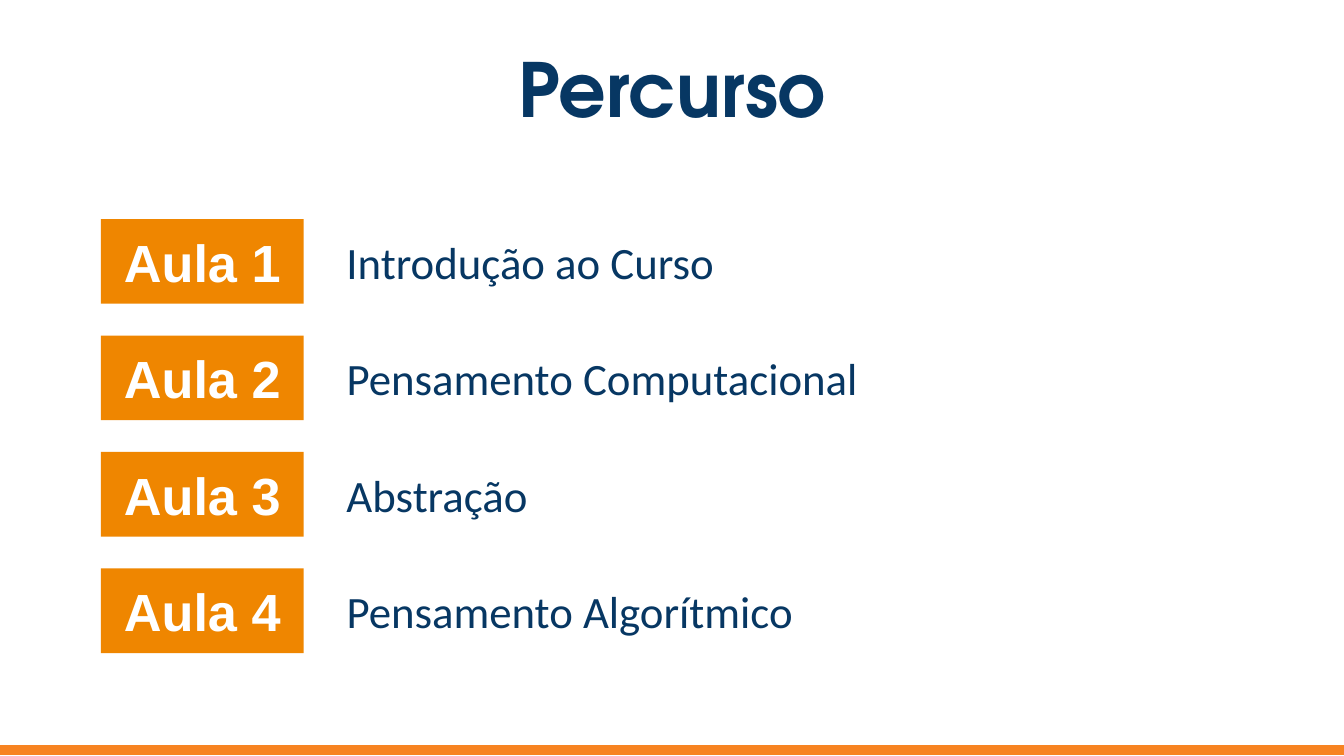
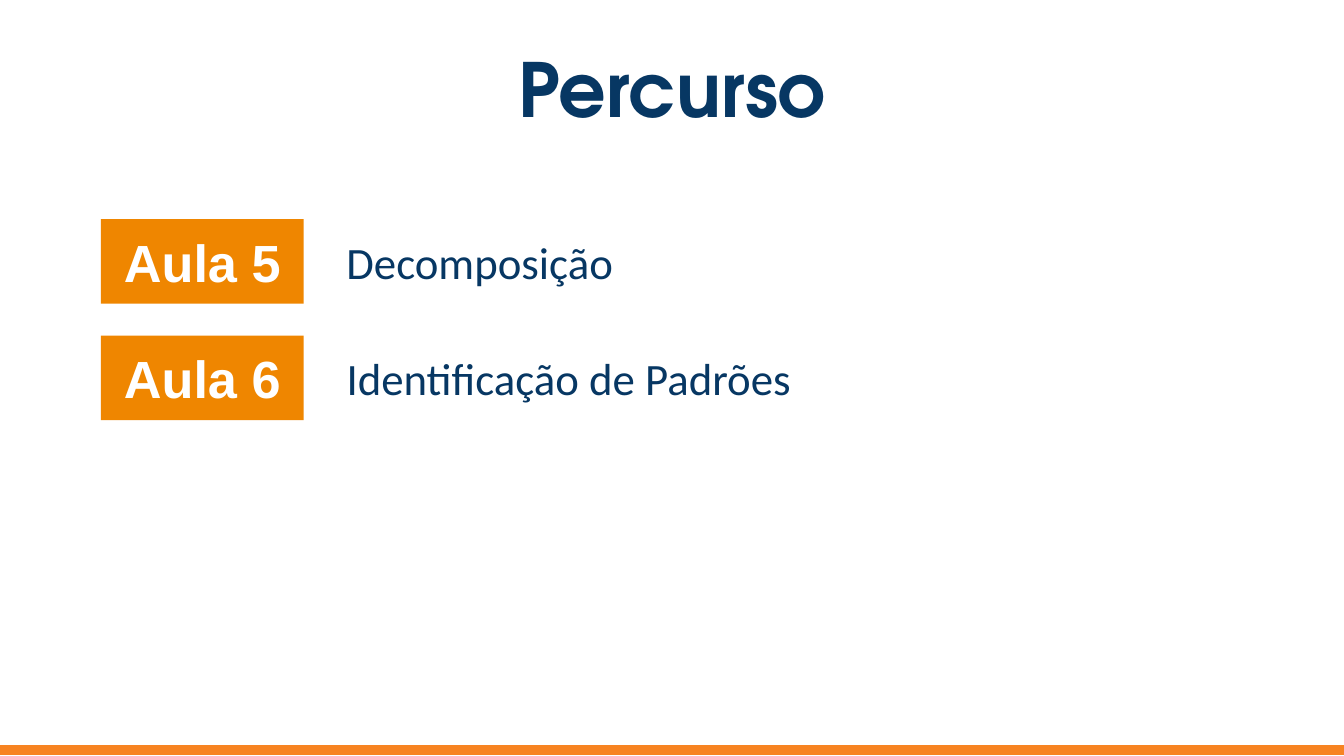
"""Build the two course outline slides."""
from pptx import Presentation
from pptx import util as u
from pptx.dml.color import RGBColor
from pptx.enum import shapes, text

WIDTH = 10
HEIGHT = WIDTH * 9 / 16
COLORS = {"navy": "073763", "badge": "EF8600", "band": "F78321", "white": "FFFFFF"}
FONTS = {"title": "TeX Gyre Adventor", "badge": "Arial", "topic": "Calibri"}
BADGE = {"left": 0.75, "width": 1.51, "height": 0.63}
TOPIC = {"left": 2.48, "height": 0.5}
LESSONS_PER_SLIDE = 4
FIRST_ROW, LAST_ROW = 1.63, 4.23
ROW_STEP = (LAST_ROW - FIRST_ROW) / (LESSONS_PER_SLIDE - 1)
BAND_TOP, BAND_HEIGHT = 5.55, 0.06
LESSONS = [
    ("Introdução ao Curso", 3.06),
    ("Pensamento Computacional", 4.01),
    ("Abstração", 2.74),
    ("Pensamento Algorítmico", 3.98),
    ("Decomposição", 3.06),
    ("Identificação de Padrões", 4.01),
]


def color(name):
    """Return a named colour of the palette."""
    return RGBColor.from_string(COLORS[name])


def inches(*lengths):
    """Convert several lengths to inches."""
    return [u.Inches(length) for length in lengths]


def write(box, words, font, size, ink, bold=False, centered=True, inset=0.1):
    """Set and format the single line of text in a box."""
    frame = box.text_frame
    frame.text = words
    frame.word_wrap = True
    frame.auto_size = text.MSO_AUTO_SIZE.NONE
    frame.vertical_anchor = text.MSO_ANCHOR.MIDDLE if centered else text.MSO_ANCHOR.TOP
    frame.margin_left = frame.margin_right = u.Inches(0.1)
    frame.margin_top = frame.margin_bottom = u.Inches(inset)
    para = frame.paragraphs[0]
    para.alignment = text.PP_ALIGN.CENTER if centered else text.PP_ALIGN.LEFT
    span = para.runs[0]
    span.font.name = FONTS[font]
    span.font.size = u.Pt(size)
    span.font.bold = bold
    span.font.color.rgb = color(ink)


def add_rectangle(page, left, top, width, height, fill):
    """Add a flat filled rectangle without an outline."""
    box = page.shapes.add_shape(
        shapes.MSO_SHAPE.RECTANGLE, *inches(left, top, width, height))
    box.shadow.inherit = False
    box.fill.solid()
    box.fill.fore_color.rgb = color(fill)
    box.line.fill.background()
    return box


def add_title(page, words):
    """Place and format the slide title."""
    title = page.shapes.title
    title.left, title.top, title.width, title.height = inches(0.34, 0.33, 9.32, 0.65)
    write(title, words, "title", 40, "navy", bold=True)


def add_lesson(page, row, number, topic, width):
    """Add a numbered lesson badge and its topic on a row."""
    top = FIRST_ROW + row * ROW_STEP
    badge = add_rectangle(
        page, BADGE["left"], top, BADGE["width"], BADGE["height"], "badge")
    write(badge, f"Aula {number}", "badge", 28, "white", bold=True)
    topic_top = top + (BADGE["height"] - TOPIC["height"]) / 2
    label = page.shapes.add_textbox(
        *inches(TOPIC["left"], topic_top, width, TOPIC["height"]))
    write(label, topic, "topic", 24, "navy", centered=False, inset=0.05)


def add_band(page):
    """Add the coloured band along the bottom edge."""
    band = add_rectangle(page, 0, BAND_TOP, WIDTH, BAND_HEIGHT, "band")
    band.line.color.rgb = color("band")
    band.line.width = u.Pt(0.75)


def add_outline_slide(deck, start):
    """Add one outline slide listing the lessons from a start index."""
    page = deck.slides.add_slide(deck.slide_layouts.get_by_name("Title Only"))
    add_title(page, "Percurso")
    for row, (topic, width) in enumerate(LESSONS[start:start + LESSONS_PER_SLIDE]):
        add_lesson(page, row, start + row + 1, topic, width)
    add_band(page)


def main():
    """Create and save the deck."""
    deck = Presentation()
    deck.slide_width, deck.slide_height = inches(WIDTH, HEIGHT)
    for start in range(0, len(LESSONS), LESSONS_PER_SLIDE):
        add_outline_slide(deck, start)
    deck.save("out.pptx")


if __name__ == "__main__":
    main()
